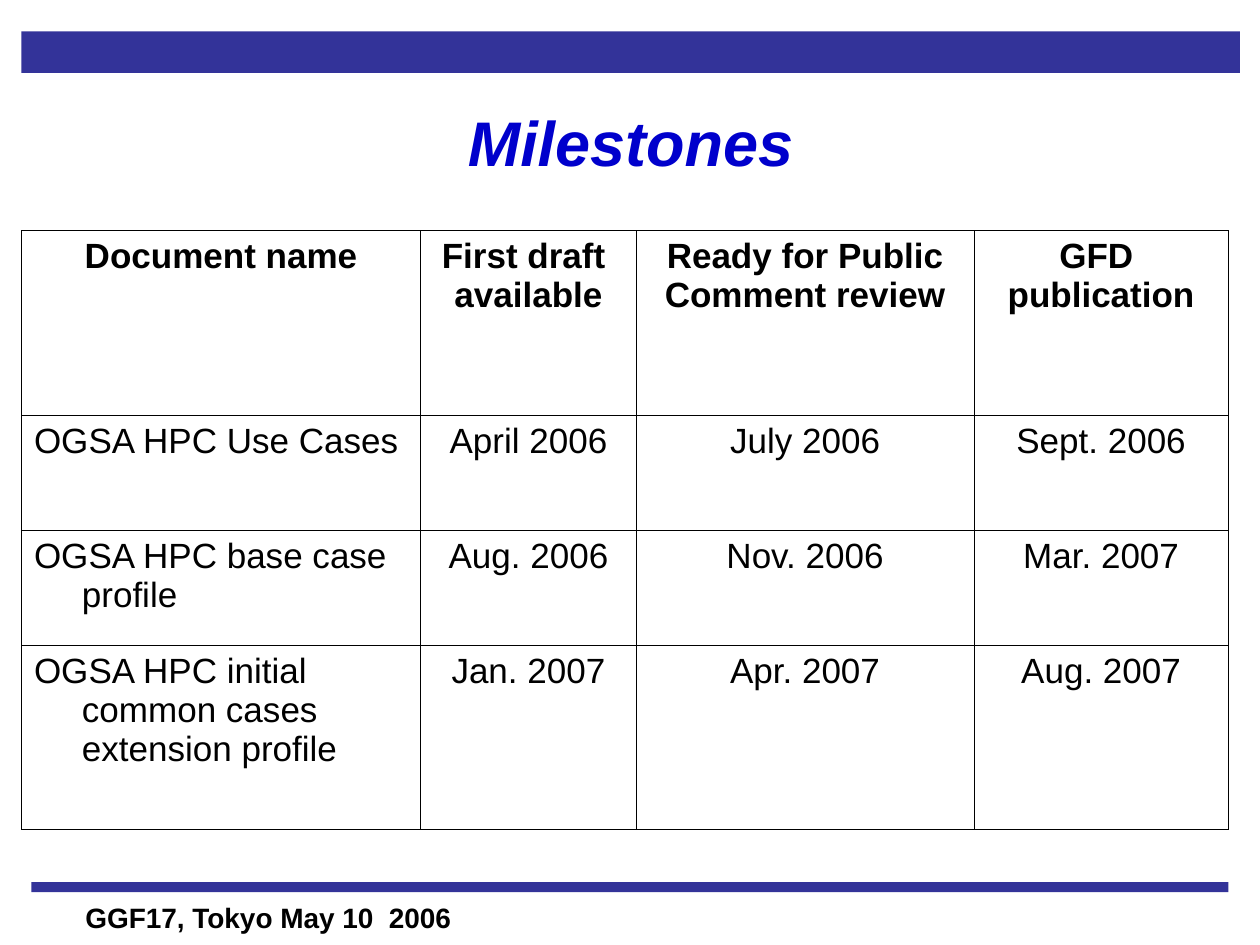
from lxml.etree import SubElement
from pptx import Presentation
from pptx.dml.color import RGBColor
from pptx.enum.shapes import MSO_SHAPE
from pptx.enum.text import MSO_ANCHOR, MSO_AUTO_SIZE, PP_ALIGN
from pptx.oxml.ns import qn
from pptx.util import Inches, Pt

INK = {"bar": "333399", "title": "0000CC", "text": "000000"}
FACE = "Arial"
COLS = [3.17, 1.71, 2.68, 2.02]
ROWS = [1.47, 0.91, 0.91, 1.46]
DATA = [
    ["Document name", "First draft \navailable",
     "Ready for Public\n Comment review ", "GFD \npublication"],
    ["OGSA HPC Use Cases", "April 2006", "July 2006", "Sept. 2006"],
    ["OGSA HPC base case profile", "Aug. 2006", "Nov. 2006", "Mar. 2007"],
    ["OGSA HPC initial common cases extension profile",
     "Jan. 2007", "Apr. 2007", "Aug. 2007"],
]


def scale(box):
    return [Inches(n) for n in box]


def style(para, size, ink, bold=False, italic=False, align=PP_ALIGN.CENTER):
    para.alignment = align
    font = para.font
    font.name, font.size = FACE, Pt(size)
    font.bold, font.italic = bold, italic
    font.color.rgb = RGBColor.from_string(INK[ink])


def add_bar(slide, box):
    bar = slide.shapes.add_shape(MSO_SHAPE.RECTANGLE, *scale(box))
    bar.shadow.inherit = False
    bar.fill.solid()
    bar.fill.fore_color.rgb = RGBColor.from_string(INK["bar"])
    bar.line.fill.background()


def add_title(slide, box, text):
    title = slide.shapes.title
    title.left, title.top, title.width, title.height = scale(box)
    frame = title.text_frame
    frame.text = text
    frame.auto_size = MSO_AUTO_SIZE.NONE
    frame.vertical_anchor = MSO_ANCHOR.MIDDLE
    para = frame.paragraphs[0]
    para.line_spacing = 0.95
    style(para, 36, "title", bold=True, italic=True)


def add_footer(slide, box, text):
    frame = slide.shapes.add_textbox(*scale(box)).text_frame
    frame.word_wrap = True
    frame.text = text
    style(frame.paragraphs[0], 16, "text", bold=True)


def add_edges(cell):
    """Draw a thin line on all four sides of a cell."""
    props = cell._tc.get_or_add_tcPr()
    for spot, side in enumerate(("lnL", "lnR", "lnT", "lnB")):
        line = SubElement(props, qn(f"a:{side}"), w=str(Pt(0.45)))
        fill = SubElement(line, qn("a:solidFill"))
        SubElement(fill, qn("a:srgbClr"), val=INK["text"])
        props.insert(spot, line)


def fill_cell(cell, text, head, left):
    cell.fill.background()
    add_edges(cell)
    cell.margin_left = cell.margin_right = Inches(0.1)
    cell.margin_top = cell.margin_bottom = Inches(0.05)
    cell.text = text
    for para in cell.text_frame.paragraphs:
        props = para._p.get_or_add_pPr()
        props.set("marL", str(Inches(0.38)))
        props.set("indent", str(Inches(-0.38)))
        style(para, 20, "text", bold=head,
              align=PP_ALIGN.LEFT if left else PP_ALIGN.CENTER)


def add_dates(slide, left, top):
    box = scale((left, top, sum(COLS), sum(ROWS)))
    table = slide.shapes.add_table(len(ROWS), len(COLS), *box).table
    table.horz_banding = False
    for col, wide in zip(table.columns, COLS):
        col.width = Inches(wide)
    for r, (row, high) in enumerate(zip(table.rows, ROWS)):
        row.height = Inches(high)
        for c, text in enumerate(DATA[r]):
            fill_cell(table.cell(r, c), text, head=r == 0, left=r > 0 and c == 0)


def main():
    deck = Presentation()
    deck.slide_width, deck.slide_height = Inches(10), Inches(7.5)
    slide = deck.slides.add_slide(deck.slide_layouts[5])
    add_bar(slide, (0.17, 0.25, 9.67, 0.33))
    add_bar(slide, (0.25, 7, 9.5, 0.08))
    add_footer(slide, (0.17, 7.1, 3.92, 0.37), "GGF17, Tokyo May 10  2006")
    add_title(slide, (0.17, 0.58, 9.67, 1.14), "Milestones")
    add_dates(slide, 0.17, 1.83)
    deck.save("out.pptx")


if __name__ == "__main__":
    main()
